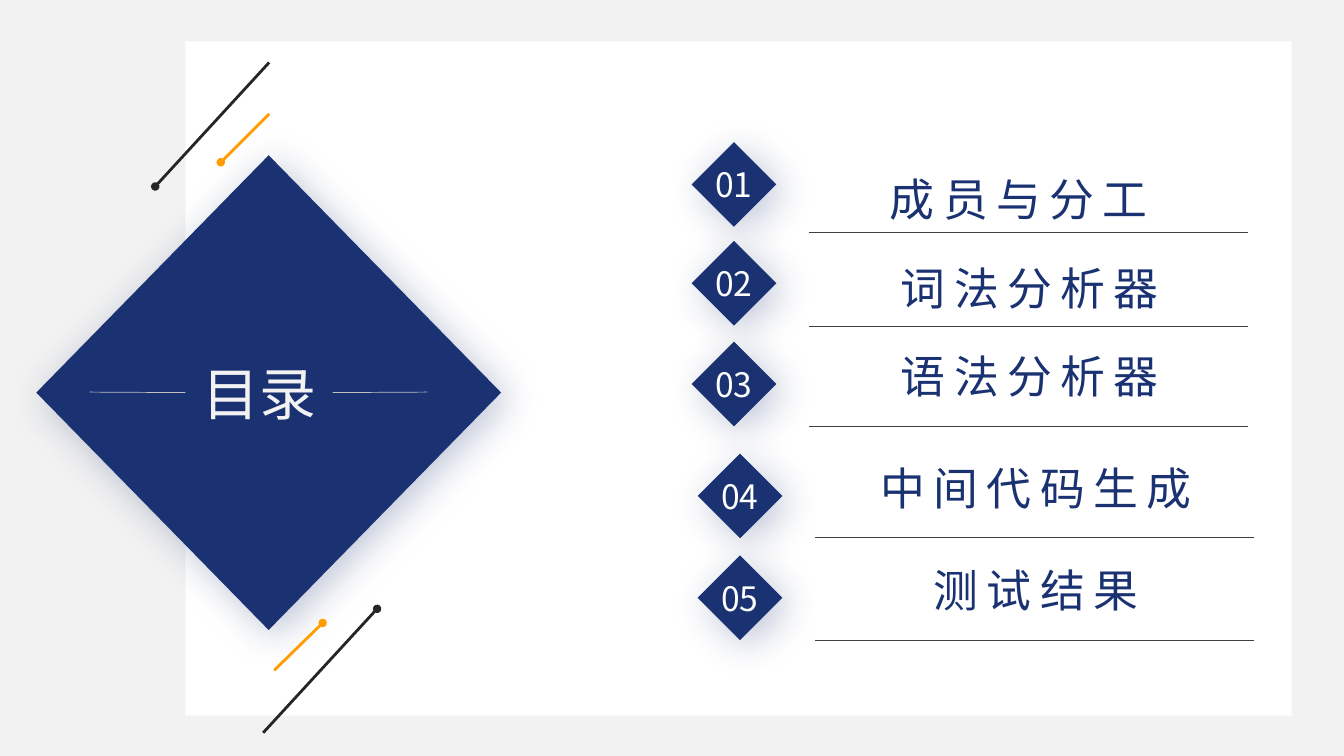
from pptx import Presentation
from pptx.dml.color import RGBColor
from pptx.enum.shapes import MSO_CONNECTOR, MSO_SHAPE
from pptx.enum.text import MSO_ANCHOR, MSO_AUTO_SIZE, PP_ALIGN
from pptx.oxml import parse_xml
from pptx.oxml.ns import nsdecls
from pptx.util import Inches, Pt

STRAIGHT = MSO_CONNECTOR.STRAIGHT
DIAMOND = MSO_SHAPE.DIAMOND
RECTANGLE = MSO_SHAPE.RECTANGLE
TOP = MSO_ANCHOR.TOP
MIDDLE = MSO_ANCHOR.MIDDLE
NO_AUTOFIT = MSO_AUTO_SIZE.NONE
CENTER = PP_ALIGN.CENTER

COLORS = {
    "navy": "1A3172",
    "white": "FFFFFF",
    "paper": "F2F2F2",
    "rule": "404040",
    "title_rule": "BFBFBF",
    "ink": "262626",
    "orange": "FF9C00",
}
BODY_FONT = "Noto Sans CJK JP"
TITLE_FONT = "Arial"


def color(name):
    return RGBColor.from_string(COLORS[name])


def set_all(target, values):
    for name, value in values.items():
        setattr(target, name, value)


class SlideBuilder:
    def __init__(self, page):
        self.page = page
        self.page.background.fill.solid()
        self.page.background.fill.fore_color.rgb = color("paper")

    def shape(self, kind, area, fill):
        box = self.page.shapes.add_shape(kind, *map(Inches, area))
        box.shadow.inherit = False
        box.fill.solid()
        box.fill.fore_color.rgb = color(fill)
        box.line.fill.background()
        return box

    def diamond(self, area):
        box = self.shape(DIAMOND, area, "navy")
        effects = box.element.spPr.find("{*}effectLst")
        effects.append(parse_xml(
            f'<a:outerShdw {nsdecls("a")} blurRad="{Pt(28)}" dist="{Pt(7)}" '
            'dir="2700000" algn="tl" rotWithShape="0">'
            f'<a:srgbClr val="{COLORS["navy"]}"><a:alpha val="27000"/></a:srgbClr>'
            '</a:outerShdw>'))
        return box

    def label(self, box, text, size, font, fill, anchor=MIDDLE, line_spacing=1.0, tracking=0):
        frame = box.text_frame
        set_all(frame, {"auto_size": NO_AUTOFIT, "word_wrap": False, "vertical_anchor": anchor})
        para = frame.paragraphs[0]
        set_all(para, {"alignment": CENTER, "line_spacing": line_spacing})
        span = para.add_run()
        span.text = text
        set_all(span.font, {"size": Pt(size), "name": font})
        span.font.color.rgb = color(fill)
        properties = span.font._element
        properties.find("{*}latin").addnext(
            parse_xml(f'<a:ea {nsdecls("a")} typeface="{font}"/>'))
        if tracking:
            properties.set("spc", str(tracking * 100))

    def text(self, area, text, **style):
        box = self.page.shapes.add_textbox(*map(Inches, area))
        box.text_frame.margin_bottom = Inches(0.04)
        self.label(box, text, **style)

    def title(self, area, text, **style):
        box = self.page.shapes.title
        set_all(box, dict(zip(("left", "top", "width", "height"), map(Inches, area))))
        self.page.shapes.element.append(box.element)
        self.label(box, text, **style)
        return box

    def line(self, start, end, stroke, width, dot=None):
        link = self.page.shapes.add_connector(STRAIGHT, *map(Inches, (*start, *end)))
        link.line.color.rgb = color(stroke)
        link.line.width = Pt(width)
        properties = link.element.spPr
        if dot:
            properties.find("{*}ln").append(
                parse_xml(f'<a:{dot} {nsdecls("a")} type="oval"/>'))
        properties.append(parse_xml(f'<a:effectLst {nsdecls("a")}/>'))
        return link


def main():
    deck = Presentation()
    deck.slide_width, deck.slide_height = Inches(13.33), Inches(7.5)
    builder = SlideBuilder(deck.slides.add_slide(deck.slide_layouts[5]))
    builder.shape(RECTANGLE, (1.84, 0.41, 10.97, 6.69), "white")

    builder.diamond((0.36, 1.54, 4.61, 4.71))
    title = builder.title((1.84, 3.54, 1.46, 0.71), "目录",
                          size=40.7, font=TITLE_FONT, fill="paper")
    for side, start, end in ((1, 1.84, 0.89), (3, 3.3, 4.24)):
        rule = builder.line((start, 3.89), (end, 3.89), "title_rule", 0.5)
        rule.begin_connect(title, side)

    accents = (
        ((2.67, 0.62), (1.54, 1.85), "ink", "tailEnd"),
        ((2.67, 1.13), (2.19, 1.61), "orange", "tailEnd"),
        ((3.74, 6.04), (2.61, 7.27), "ink", "headEnd"),
        ((3.2, 6.18), (2.72, 6.65), "orange", "headEnd"),
    )
    for start, end, stroke, dot in accents:
        builder.line(start, end, stroke, 2, dot)

    chapters = (
        ("成员与分工", 6.86, 1.41, 7.85, 1.39, 2.31, 1.5),
        ("词法分析器", 6.86, 2.39, 7.96, 2.27, 3.24, 1.5),
        ("语法分析器", 6.86, 3.39, 7.96, 3.41, 4.23, 1.0),
        ("中间代码生成", 6.92, 4.5, 8.02, 4.52, 5.33, 1.0),
        ("测试结果", 6.92, 5.51, 8.02, 5.53, 6.35, 1.0),
    )
    for number, chapter in enumerate(chapters, 1):
        name, left, top, text_left, text_top, rule_y, spacing = chapter
        badge = builder.diamond((left, top, 0.84, 0.84))
        builder.label(badge, f"{number:02}", 24, BODY_FONT, "white")
        builder.text((text_left, text_top, 4.51, 0.82), name, size=32, font=BODY_FONT,
                     fill="navy", anchor=TOP, line_spacing=spacing, tracking=6)
        rule_left = left + 1.16
        builder.line((rule_left, rule_y), (rule_left + 4.36, rule_y), "rule", 0.5)

    deck.save("out.pptx")


if __name__ == "__main__":
    main()
